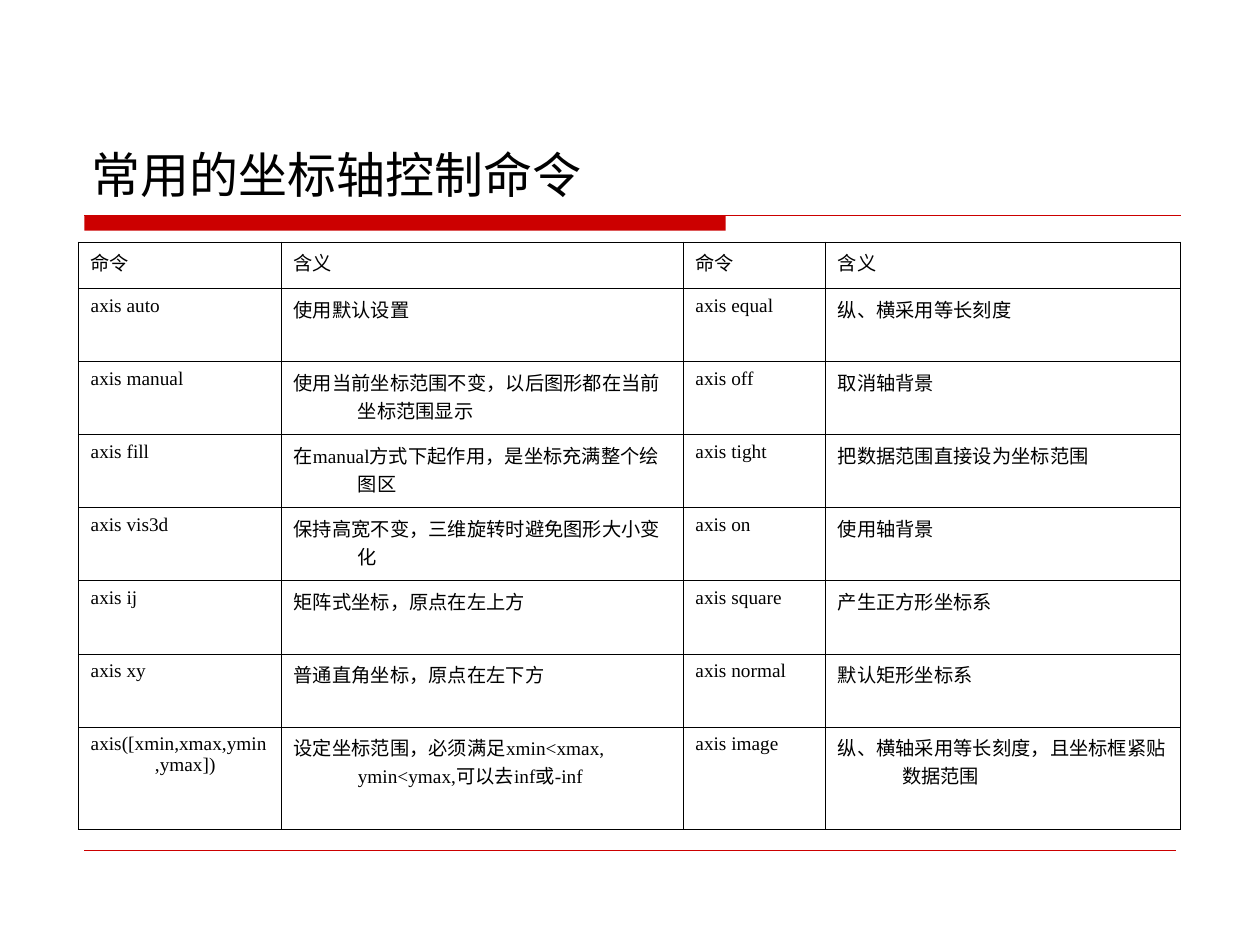
from typing import NamedTuple

from lxml.etree import SubElement
from pptx import Presentation
from pptx.dml.color import RGBColor
from pptx.enum.shapes import MSO_CONNECTOR, MSO_SHAPE
from pptx.enum.text import MSO_ANCHOR
from pptx.oxml.ns import qn
from pptx.util import Inches, Pt

COLORS = {"text": "000000", "grid": "000000", "accent": "CC0000"}
TITLE_FONT = "DejaVu Sans"
BODY_FONT = "Times New Roman"
INDENT = 0.51


class Rule(NamedTuple):
    left: float
    right: float
    y: float
    weight: float


class Pair(NamedTuple):
    command: str
    meaning: str


RULES = [Rule(0.67, 9.37, 1.71, 0.75), Rule(0.67, 9.33, 6.75, 0.25)]
COLUMNS = [1.61, 3.19, 1.13, 2.82]
ROWS = [0.37] + [0.58] * 6 + [0.81]
HEAD = Pair("命令", "含义")
LEFT = [
    HEAD,
    Pair("axis auto", "使用默认设置"),
    Pair("axis manual", "使用当前坐标范围不变，以后图形都在当前坐标范围显示"),
    Pair("axis fill", "在manual方式下起作用，是坐标充满整个绘图区"),
    Pair("axis vis3d", "保持高宽不变，三维旋转时避免图形大小变化"),
    Pair("axis ij", "矩阵式坐标，原点在左上方"),
    Pair("axis xy", "普通直角坐标，原点在左下方"),
    Pair("axis([xmin,xmax,ymin,ymax])",
         "设定坐标范围，必须满足xmin<xmax, ymin<ymax,可以去inf或-inf"),
]
RIGHT = [
    HEAD,
    Pair("axis equal", "纵、横采用等长刻度"),
    Pair("axis off", "取消轴背景"),
    Pair("axis tight", "把数据范围直接设为坐标范围"),
    Pair("axis on", "使用轴背景"),
    Pair("axis square", "产生正方形坐标系"),
    Pair("axis normal", "默认矩形坐标系"),
    Pair("axis image", "纵、横轴采用等长刻度，且坐标框紧贴数据范围"),
]


def color(name: str) -> RGBColor:
    return RGBColor.from_string(COLORS[name])


def add_run(para, text: str, size: float, face: str) -> None:
    run = para.add_run()
    run.text = text
    run.font.size = Pt(size)
    run.font.name = face
    run.font.bold = False
    run.font.color.rgb = color("text")


def draw_rule(slide, rule: Rule) -> None:
    line = slide.shapes.add_connector(
        MSO_CONNECTOR.STRAIGHT, Inches(rule.left), Inches(rule.y),
        Inches(rule.right), Inches(rule.y))
    line.line.color.rgb = color("accent")
    line.line.width = Pt(rule.weight)
    SubElement(line._element.spPr, qn("a:effectLst"))


def draw_bar(slide) -> None:
    bar = slide.shapes.add_shape(
        MSO_SHAPE.RECTANGLE, Inches(0.67), Inches(1.71), Inches(5.09), Inches(0.12))
    bar.shadow.inherit = False
    bar.fill.solid()
    bar.fill.fore_color.rgb = color("accent")
    bar.line.fill.background()


def draw_title(slide, text: str) -> None:
    box = slide.shapes.add_textbox(
        Inches(0.63), Inches(0.33), Inches(8.75), Inches(1.33))
    frame = box.text_frame
    frame.word_wrap = True
    frame.vertical_anchor = MSO_ANCHOR.BOTTOM
    add_run(frame.paragraphs[0], text, 28, TITLE_FONT)


def add_borders(cell) -> None:
    props = cell._tc.get_or_add_tcPr()
    for side in ("a:lnL", "a:lnR", "a:lnT", "a:lnB"):
        edge = SubElement(props, qn(side), w=str(Pt(0.45)))
        fill = SubElement(edge, qn("a:solidFill"))
        SubElement(fill, qn("a:srgbClr"), val=COLORS["grid"])


def fill_cell(cell, text: str) -> None:
    add_borders(cell)
    cell.fill.background()
    para = cell.text_frame.paragraphs[0]
    props = para._p.get_or_add_pPr()
    props.set("marL", str(Inches(INDENT)))
    props.set("indent", str(Inches(-INDENT)))
    add_run(para, text, 11, BODY_FONT)


def draw_table(slide) -> None:
    frame = slide.shapes.add_table(
        len(ROWS), len(COLUMNS), Inches(0.62), Inches(1.92),
        Inches(sum(COLUMNS)), Inches(sum(ROWS)))
    table = frame.table
    table.first_row = False
    table.horz_banding = False
    for column, width in zip(table.columns, COLUMNS):
        column.width = Inches(width)
    for row, height, left, right in zip(table.rows, ROWS, LEFT, RIGHT):
        row.height = Inches(height)
        for cell, text in zip(row.cells, left + right):
            fill_cell(cell, text)


def main() -> None:
    deck = Presentation()
    deck.slide_width = Inches(10)
    deck.slide_height = Inches(7.5)
    slide = deck.slides.add_slide(deck.slide_layouts[6])
    draw_bar(slide)
    for rule in RULES:
        draw_rule(slide, rule)
    draw_title(slide, "常用的坐标轴控制命令")
    draw_table(slide)
    deck.save("out.pptx")


if __name__ == "__main__":
    main()
